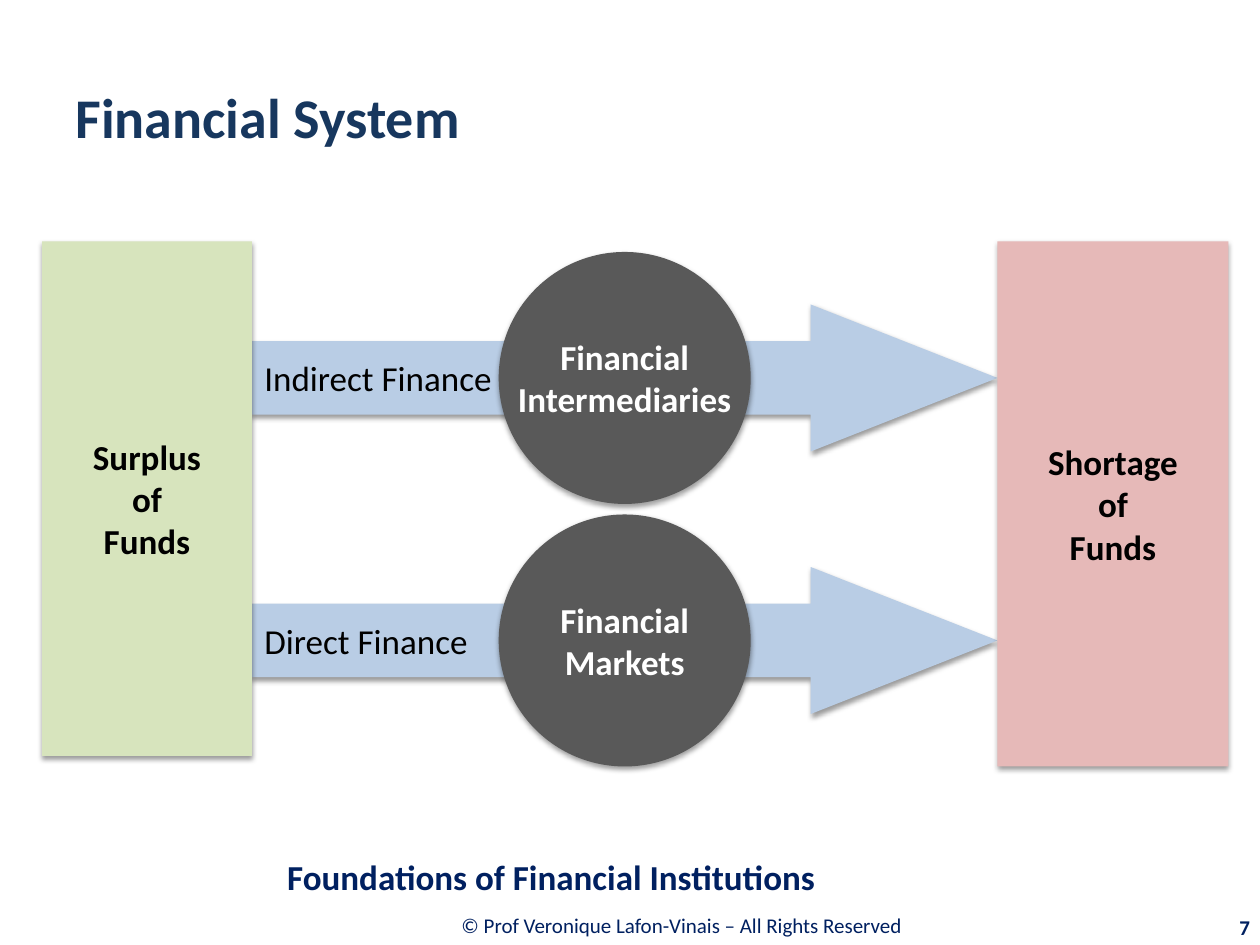
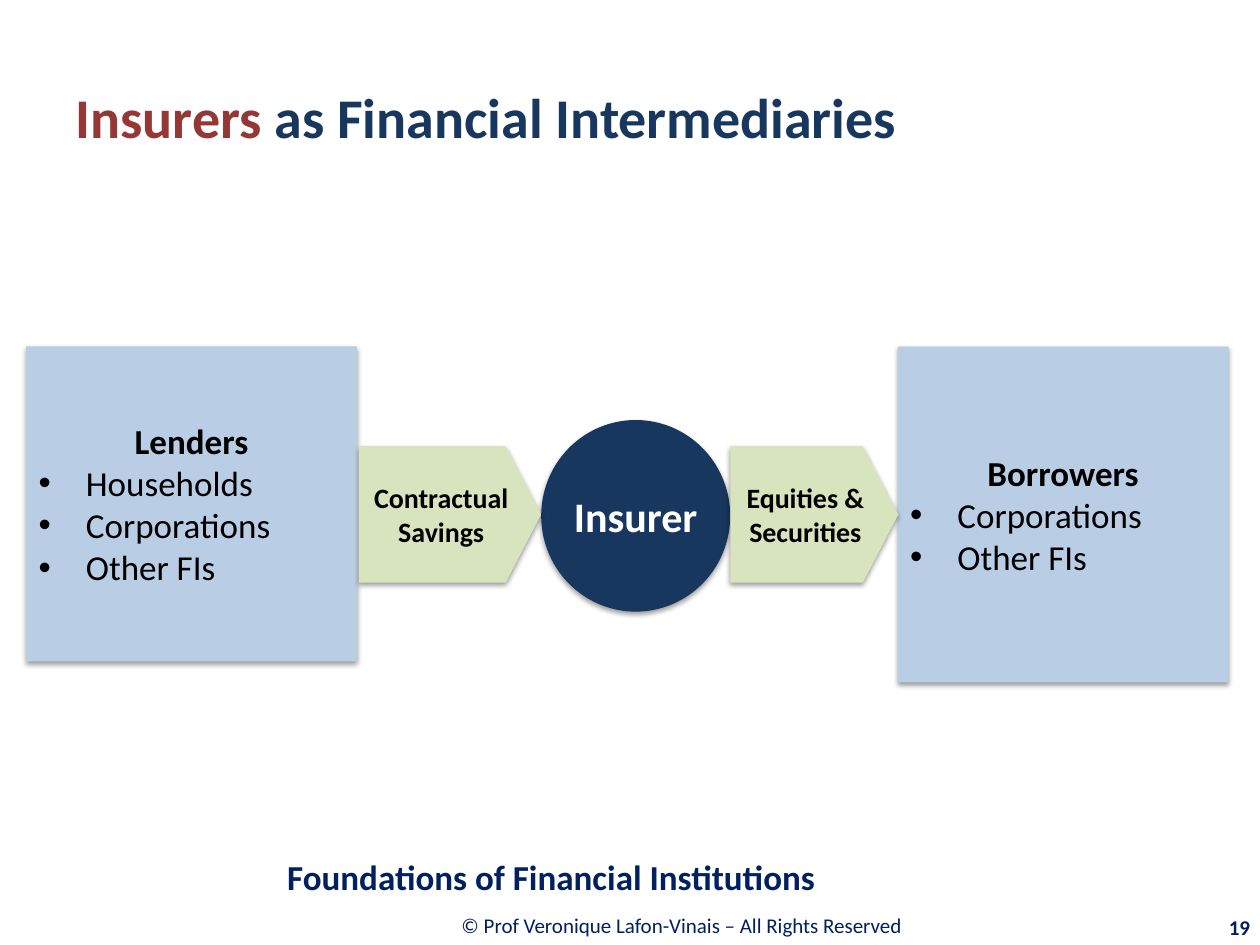
from dataclasses import dataclass

from lxml import etree
from pptx import Presentation
from pptx.dml.color import RGBColor
from pptx.enum.shapes import MSO_SHAPE
from pptx.enum.text import MSO_ANCHOR, PP_ALIGN
from pptx.oxml import parse_xml
from pptx.oxml.ns import qn
from pptx.util import Pt

RECT, OVAL = MSO_SHAPE.RECTANGLE, MSO_SHAPE.OVAL
ARROW, PLATE = MSO_SHAPE.RIGHT_ARROW, MSO_SHAPE.PENTAGON
LEFT, MID, RIGHT = PP_ALIGN.LEFT, PP_ALIGN.CENTER, PP_ALIGN.RIGHT
MIDDLE = MSO_ANCHOR.MIDDLE

SHADOW = (
    '<a:effectLst xmlns:a="http://schemas.openxmlformats.org/drawingml/2006/main">'
    f'<a:outerShdw blurRad="{Pt(3.1)}" dist="{Pt(1.6)}" dir="5400000" rotWithShape="0">'
    '<a:srgbClr val="000000"><a:alpha val="38000"/></a:srgbClr>'
    '</a:outerShdw></a:effectLst>'
)


@dataclass(frozen=True)
class Theme:
    font: str = "Calibri"
    navy: str = "17375E"
    ink: str = "002060"
    red: str = "953735"
    blue: str = "B9CDE5"
    green: str = "D7E4BD"
    pink: str = "E6B9B8"
    gray: str = "595959"
    black: str = "000000"
    white: str = "FFFFFF"
    head: int = 32
    large: int = 24
    body: int = 20
    label: int = 16
    small: int = 12


class Deck:
    def __init__(self, theme):
        self.theme = theme
        self.prs = Presentation()
        self.prs.slide_width, self.prs.slide_height = Pt(720), Pt(540)
        self.slide = None

    def page(self, title, number):
        """Start a slide with its title and shared footer."""
        t = self.theme
        self.slide = self.prs.slides.add_slide(self.prs.slide_layouts[6])
        self.text((157.7, 514.8, 466.6, 28), t.small, MID, False,
                  [("© Prof Veronique Lafon-Vinais – All Rights Reserved ", t.ink)])
        self.text((36, 21.6, 648, 90), t.head, LEFT, True, title)
        self.text((648.7, 518.4, 72.7, 23), t.small, RIGHT, True,
                  [(str(number), t.ink)])
        self.text((157, 483.8, 563, 33.8), t.body, LEFT, True,
                  [("Foundations of Financial Institutions", t.ink)])

    def run(self, para, text, size, color, bold):
        run = para.add_run()
        run.text = text
        form = {"name": self.theme.font, "size": Pt(size), "bold": bold}
        for key, value in form.items():
            setattr(run.font, key, value)
        run.font.color.rgb = RGBColor.from_string(color)

    def text(self, box, size, align, bold, runs):
        """Add a one-line text box made of (text, color) runs."""
        frame = self.slide.shapes.add_textbox(*map(Pt, box)).text_frame
        frame.word_wrap, frame.vertical_anchor = True, MIDDLE
        para = frame.paragraphs[0]
        para.alignment = align
        for text, color in runs:
            self.run(para, text, size, color, bold)

    def shape(self, kind, box, fill, lines, size=None, color=None,
              align=MID, bold=True, wrap=False, adjust=()):
        """Add a filled shape with a soft shadow, one paragraph per line."""
        shape = self.slide.shapes.add_shape(kind, *map(Pt, box))
        for i, value in enumerate(adjust):
            shape.adjustments[i] = value
        shape.fill.solid()
        shape.fill.fore_color.rgb = RGBColor.from_string(fill)
        shape.line.fill.background()
        shape._element.spPr.append(parse_xml(SHADOW))
        frame = shape.text_frame
        frame.word_wrap, frame.vertical_anchor = wrap, MIDDLE
        for i, line in enumerate(lines):
            para = frame.add_paragraph() if i else frame.paragraphs[0]
            para.alignment = align
            self.run(para, line, size or self.theme.body,
                     color or self.theme.black, bold)
        return frame

    def flow(self, top, label):
        """Add a long arrow with its label at the tail."""
        self.shape(ARROW, (144, top, 426, 84), self.theme.blue, [label],
                   align=LEFT, bold=False, wrap=True, adjust=(0.5, 1.27))

    def party(self, box, name, items):
        """Add a box with a centred heading and a bullet list."""
        frame = self.shape(RECT, box, self.theme.blue, [name], wrap=True)
        for item in items:
            para = frame.add_paragraph()
            para.alignment = LEFT
            self.run(para, item, self.theme.body, self.theme.black, False)
            props = para._p.get_or_add_pPr()
            for key, value in {"marL": Pt(27), "indent": -Pt(27)}.items():
                props.set(key, str(int(value)))
            etree.SubElement(props, qn("a:buFont")).set("typeface", "Arial")
            etree.SubElement(props, qn("a:buChar")).set("char", "•")


def system(deck):
    t = deck.theme
    deck.page([("Financial System", t.navy)], 7)

    # Two routes, each an arrow through a circle
    routes = [("Indirect Finance", "Intermediaries"), ("Direct Finance", "Markets")]
    for i, (label, _) in enumerate(routes):
        deck.flow(174 + 150 * i, label)
    for i, (_, means) in enumerate(routes):
        deck.shape(OVAL, (285, 144 + 150 * i, 144, 144), t.gray,
                   ["Financial", means], color=t.white)

    # Both ends of the flow
    for word, left, width, height, fill in (("Surplus", 24, 120, 294, t.green),
                                            ("Shortage", 570, 132, 300, t.pink)):
        deck.shape(RECT, (left, 138, width, height), fill, [word, "of", "Funds"])


def insurers(deck):
    t = deck.theme
    deck.page([("Insurers ", t.red), ("as Financial Intermediaries", t.navy)], 19)

    # Lenders and borrowers
    deck.party((15, 198, 189, 180), "Lenders",
               ["Households", "Corporations", "Other FIs"])
    deck.party((513, 198, 189, 192), "Borrowers", ["Corporations", "Other FIs"])

    # Insurer between two links
    deck.shape(OVAL, (309.3, 240, 108, 109.5), t.navy, ["Insurer"],
               size=t.large, color=t.white)
    for label, left, width in (("Contractual Savings", 205.2, 104),
                               ("Equities & Securities", 417.3, 96)):
        deck.shape(PLATE, (left, 255, width, 78), t.green, [label],
                   size=t.label, wrap=True, adjust=(0.26,))


def main():
    deck = Deck(Theme())
    system(deck)
    insurers(deck)
    deck.prs.save("out.pptx")


if __name__ == "__main__":
    main()
